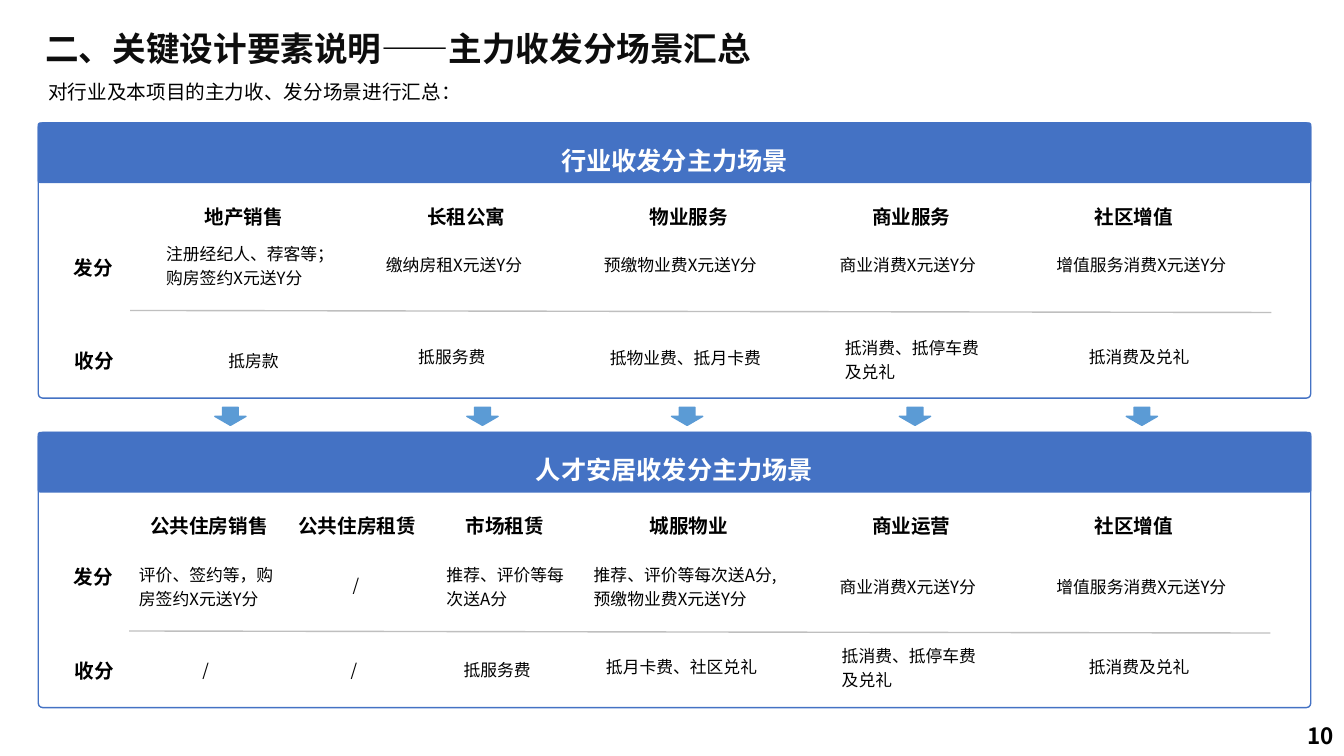
import pptx
import pptx.util
import pptx.dml.color
import pptx.enum.lang
import pptx.enum.shapes
import pptx.enum.text
import pptx.oxml.ns
from lxml import etree

FONT = "Noto Sans CJK SC"
COLORS = {"title": "0D0D0D", "text": "000000", "white": "FFFFFF",
          "blue": "4472C4", "arrow": "5B9BD5", "rule": "BFBFBF"}
SHAPES = pptx.enum.shapes.MSO_SHAPE
ALIGN = pptx.enum.text.PP_ALIGN
SLIDE_W, SLIDE_H = pptx.util.Inches(13.33), pptx.util.Inches(7.5)
COLS, ROWS = 133.3, 75  # fine square grid over the slide

# Rows inside a panel, counted from its top
PANEL_X, PANEL_W, PANEL_H, BAND_H = 3.8, 126.2, 27.3, 5.9
HEAD, GIVE, TAKE = 7.15, 12.2, 21.5
HEAD_X = [19.3 + 22.07 * i for i in range(5)]

# Panels: headings are (text, column, width);
# cells are (text, column, row in panel, width, height, centred)
INDUSTRY = {
    "title": "行业收发分主力场景", "top": 12.2, "rule": (12.9, 18.6),
    "heads": [(name, x, 10.5) for name, x in zip(
        ["地产销售", "长租公寓", "物业服务", "商业服务", "社区增值"], HEAD_X)],
    "cells": [
        ("注册经纪人、荐客等；购房签约X元送Y分", 15.5, 11.1, 19, 7.3, False),
        ("缴纳房租X元送Y分", 37.3, GIVE, 16.3, 5.2, False),
        ("预缴物业费X元送Y分", 58.9, GIVE, 18, 5, False),
        ("商业消费X元送Y分", 82.3, GIVE, 18, 5.2, False),
        ("增值服务消费X元送Y分", 103.8, GIVE, 20, 5.2, False),
        ("抵房款", 15.9, 21.7, 18.5, 4.5, True),
        ("抵服务费", 40.5, 21.3, 14.7, 5.2, False),
        ("抵物业费、抵月卡费", 59.5, 21.4, 17.2, 5, False),
        ("抵消费、抵停车费及兑礼", 82.8, 20.4, 15.5, 5.2, False),
        ("抵消费及兑礼", 107, 21.3, 15.2, 5.2, False),
    ],
}
TALENT = {
    "title": "人才安居收发分主力场景", "top": 42.9, "rule": (12.8, 19.7),
    "heads": [("公共住房销售", 13.9, 15.2), ("公共住房租赁", 28.6, 15.2),
              ("市场租赁", 45.2, 10.5)]
    + [(name, x, 10.5) for name, x in zip(
        ["城服物业", "商业运营", "社区增值"], HEAD_X[2:])],
    "cells": [
        ("评价、签约等，购房签约X元送Y分", 12.8, GIVE, 15.9, 7.3, False),
        ("/", 29.7, 13.2, 11.2, 4.5, True),
        ("推荐、评价等每次送A分", 43.3, GIVE, 14.2, 5.2, False),
        ("推荐、评价等每次送A分,预缴物业费X元送Y分", 57.9, GIVE, 19.9, 5, False),
        ("商业消费X元送Y分", 82.3, 13.4, 18, 5.2, False),
        ("增值服务消费X元送Y分", 103.8, 13.4, 20, 5.2, False),
        ("/", 14.8, 21.7, 11.2, 4.5, True),
        ("/", 29.5, 21.7, 11.2, 4.5, True),
        ("抵服务费", 45, 21.7, 14.7, 5.2, False),
        ("抵月卡费、社区兑礼", 59, 21.4, 17.2, 5, True),
        ("抵消费、抵停车费及兑礼", 82.5, 20.3, 16.2, 5.2, False),
        ("抵消费及兑礼", 107, 21.4, 15.2, 5.2, False),
    ],
}
ARROW_X = [21.3, 46.3, 66.6, 89.2, 111.7]


def grid(x, y, w, h):
    """Turn columns and rows into slide lengths."""
    cw, rh = SLIDE_W / COLS, SLIDE_H / ROWS
    return [round(v) for v in (x * cw, y * rh, w * cw, h * rh)]


def rgb(name):
    return pptx.dml.color.RGBColor.from_string(COLORS[name])


def write(sp, text, size=12, color="text", bold=False, align=ALIGN.LEFT,
          spacing=1.2, middle=False, grow=False):
    tf = sp.text_frame
    tf.word_wrap = True
    anchors = pptx.enum.text.MSO_ANCHOR
    tf.vertical_anchor = anchors.MIDDLE if middle else anchors.TOP
    fits = pptx.enum.text.MSO_AUTO_SIZE
    tf.auto_size = fits.SHAPE_TO_FIT_TEXT if grow else fits.NONE
    p = tf.paragraphs[0]
    p.alignment, p.line_spacing = align, spacing
    r = p.add_run()
    r.text = text
    r.font.size, r.font.bold = pptx.util.Pt(size), bold
    r.font.color.rgb = rgb(color)
    r.font.name = FONT
    r.font.language_id = pptx.enum.lang.MSO_LANGUAGE_ID.SIMPLIFIED_CHINESE
    # East Asian typeface
    ea = etree.SubElement(r.font._element, pptx.oxml.ns.qn("a:ea"))
    ea.set("typeface", FONT)


def add_text(s, text, x, y, w, h, **fmt):
    write(s.shapes.add_textbox(*grid(x, y, w, h)), text, **fmt)


def add_block(s, kind, x, y, w, h, line, fill=None, adj=None):
    sp = s.shapes.add_shape(kind, *grid(x, y, w, h))
    sp.shadow.inherit = False
    if fill:
        sp.fill.solid()
        sp.fill.fore_color.rgb = rgb(fill)
    else:
        sp.fill.background()
    sp.line.color.rgb = rgb(line)
    sp.line.width = pptx.util.Pt(1)
    if adj is not None:
        sp.adjustments[0] = adj
    return sp


def add_rule(s, x, y, w, drop):
    x, y, w, drop = grid(x, y, w, drop)
    line = s.shapes.add_connector(
        pptx.enum.shapes.MSO_CONNECTOR.STRAIGHT, x, y, x + w, y + drop)
    line.line.color.rgb = rgb("rule")
    line.line.width = pptx.util.Pt(1)
    etree.SubElement(line._element.spPr, pptx.oxml.ns.qn("a:effectLst"))


def add_panel(s, panel):
    top = panel["top"]
    # Frame and title band
    add_block(s, SHAPES.ROUNDED_RECTANGLE, PANEL_X, top, PANEL_W, PANEL_H,
              "blue", adj=0.016)
    band = add_block(s, SHAPES.ROUNDED_RECTANGLE, PANEL_X, top, PANEL_W,
                     BAND_H, "blue", fill="blue", adj=0.035)
    write(band, panel["title"], size=18, color="white", bold=True,
          align=ALIGN.CENTER, spacing=1.5, middle=True)
    # Column headings and row labels
    labels = [("发分", 6.3, GIVE, 6.1), ("收分", 6.4, TAKE, 6.1)]
    for text, x, dy, w in [(t, x, HEAD, w) for t, x, w in panel["heads"]] + labels:
        add_text(s, text, x, top + dy, w, 3.8, size=14, bold=True, grow=True)
    # Scenes
    for text, x, dy, w, h, centred in panel["cells"]:
        add_text(s, text, x, top + dy, w, h,
                 align=ALIGN.CENTER if centred else ALIGN.LEFT)
    # Divider between the two rows
    x, dy = panel["rule"]
    add_rule(s, x, top + dy, 113.2, 0.2)


def main():
    prs = pptx.Presentation()
    prs.slide_width, prs.slide_height = SLIDE_W, SLIDE_H
    s = prs.slides.add_slide(prs.slide_layouts[5])

    # Title, lead-in and page number
    title = s.shapes.title
    title.left, title.top, title.width, title.height = grid(3.5, 0.5, 85.7, 7.7)
    write(title, "二、关键设计要素说明——主力收发分场景汇总", size=24,
          color="title", bold=True, middle=True)
    add_text(s, "对行业及本项目的主力收、发分场景进行汇总：", 3.8, 6.3, 113.8, 4.5,
             size=14, spacing=1.5, grow=True)
    add_text(s, "10", 123.9, 71, 9.4, 4, size=16, bold=True,
             align=ALIGN.RIGHT, spacing=1, middle=True)

    # Industry scenes lead down to the project's scenes
    for panel in (INDUSTRY, TALENT):
        add_panel(s, panel)
    for x in ARROW_X:
        arrow = add_block(s, SHAPES.UP_ARROW, x, 40.4, 3.1, 1.8, "arrow", fill="arrow")
        arrow.rotation = 180

    prs.save("out.pptx")


if __name__ == "__main__":
    main()
